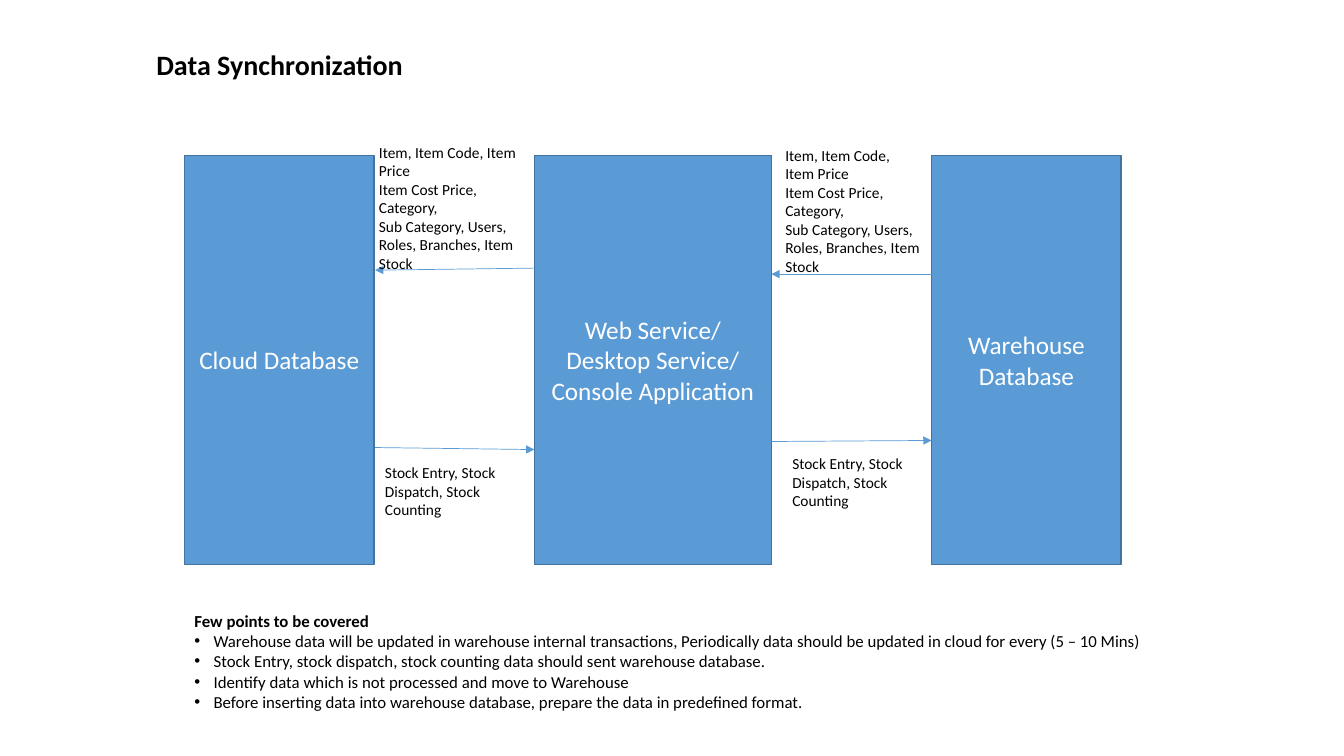
from pptx import Presentation
from pptx.dml.color import RGBColor
from pptx.enum.shapes import MSO_CONNECTOR, MSO_SHAPE
from pptx.enum.text import MSO_ANCHOR, PP_ALIGN
from pptx.oxml.ns import qn
from pptx.util import Inches, Pt
from lxml import etree

RECT = MSO_SHAPE.RECTANGLE
STRAIGHT = MSO_CONNECTOR.STRAIGHT
MIDDLE, TOP = MSO_ANCHOR.MIDDLE, MSO_ANCHOR.TOP
LEFT, CENTER = PP_ALIGN.LEFT, PP_ALIGN.CENTER

BLUE, EDGE, WHITE, BLACK = "5B9BD5", "43739E", "FFFFFF", "000000"
BOX_TOP, BOX_HEIGHT = 1.54, 4.06

SYSTEMS = [
    (1.83, 1.88, ["Cloud Database"]),
    (5.3, 2.35, ["Web Service/", "Desktop Service/", "Console Application"]),
    (9.24, 1.88, ["Warehouse Database"]),
]
ARROWS = [
    (9.24, 2.72, 7.65, 2.72),
    (5.3, 2.66, 3.72, 2.68),
    (3.72, 4.44, 5.3, 4.46),
    (7.65, 4.38, 9.24, 4.37),
]
MASTER_DATA = [
    "Item, Item Code, Item Price",
    "Item Cost Price, Category,",
    "Sub Category, Users,",
    "Roles, Branches, Item Stock",
]
STOCK_DATA = ["Stock Entry, Stock Dispatch, Stock Counting"]
LABELS = [
    (3.66, 1.37, 1.67, 1.4, MASTER_DATA),
    (7.69, 1.4, 1.55, 1.4, MASTER_DATA),
    (3.72, 4.55, 1.56, 0.66, STOCK_DATA),
    (7.76, 4.46, 1.57, 0.66, STOCK_DATA),
]
POINTS = [
    "Warehouse data will be updated in warehouse internal transactions, "
    "Periodically data should be updated in cloud for every (5 – 10 Mins)",
    "Stock Entry, stock dispatch, stock counting data should sent warehouse database.",
    "Identify data which is not processed and move to Warehouse",
    "Before inserting data into warehouse database, prepare the data in predefined format.",
]


def rgb(value):
    return RGBColor.from_string(value)


def write(tf, lines, size, color=BLACK, align=LEFT):
    tf.text = "\n".join(lines)
    for p in tf.paragraphs:
        p.alignment = align
        p.font.name = "Calibri"
        p.font.size = Pt(size)
        p.font.color.rgb = rgb(color)


def add_title(s, text):
    title = s.shapes.title
    title.left, title.top = Inches(1.45), Inches(0.42)
    title.width, title.height = Inches(3), Inches(0.44)
    tf = title.text_frame
    write(tf, [text], 20)
    tf.vertical_anchor = TOP
    tf.paragraphs[0].font.bold = True


def add_system(s, left, width, lines):
    sp = s.shapes.add_shape(RECT, Inches(left), Inches(BOX_TOP),
                            Inches(width), Inches(BOX_HEIGHT))
    sp.shadow.inherit = False
    sp.fill.solid()
    sp.fill.fore_color.rgb = rgb(BLUE)
    sp.line.color.rgb = rgb(EDGE)
    sp.line.width = Pt(1)
    sp.text_frame.vertical_anchor = MIDDLE
    write(sp.text_frame, lines, 18, WHITE, CENTER)


def add_arrow(s, x1, y1, x2, y2):
    line = s.shapes.add_connector(STRAIGHT, Inches(x1), Inches(y1), Inches(x2), Inches(y2))
    line.line.color.rgb = rgb(BLUE)
    line.line.width = Pt(0.5)
    etree.SubElement(line.line._get_or_add_ln(), qn("a:tailEnd"), type="triangle")
    etree.SubElement(line._element.spPr, qn("a:effectLst"))


def add_text(s, left, top, width, height, lines, size=11, wrap=True):
    box = s.shapes.add_textbox(Inches(left), Inches(top), Inches(width), Inches(height))
    tf = box.text_frame
    tf.word_wrap = wrap
    write(tf, lines, size)
    return tf


def add_bullet(p):
    pPr = p._p.get_or_add_pPr()
    pPr.set("marL", str(Inches(0.19)))
    pPr.set("indent", str(-Inches(0.19)))
    font = etree.Element(qn("a:buFont"), typeface="Arial")
    bullet = etree.Element(qn("a:buChar"), char="•")
    pPr.insert(0, font)
    pPr.insert(1, bullet)


def add_points(s):
    tf = add_text(s, 1.83, 6.01, 9.68, 1.11, ["Few points to be covered"] + POINTS, 12, False)
    heading, *points = tf.paragraphs
    heading.font.bold = True
    for p in points:
        add_bullet(p)


def main():
    prs = Presentation()
    prs.slide_width, prs.slide_height = Inches(13.33), Inches(7.5)
    s = prs.slides.add_slide(prs.slide_layouts[5])
    add_title(s, "Data Synchronization")
    for system in SYSTEMS:
        add_system(s, *system)
    for arrow in ARROWS:
        add_arrow(s, *arrow)
    for label in LABELS:
        add_text(s, *label)
    add_points(s)
    prs.save("out.pptx")


if __name__ == "__main__":
    main()
